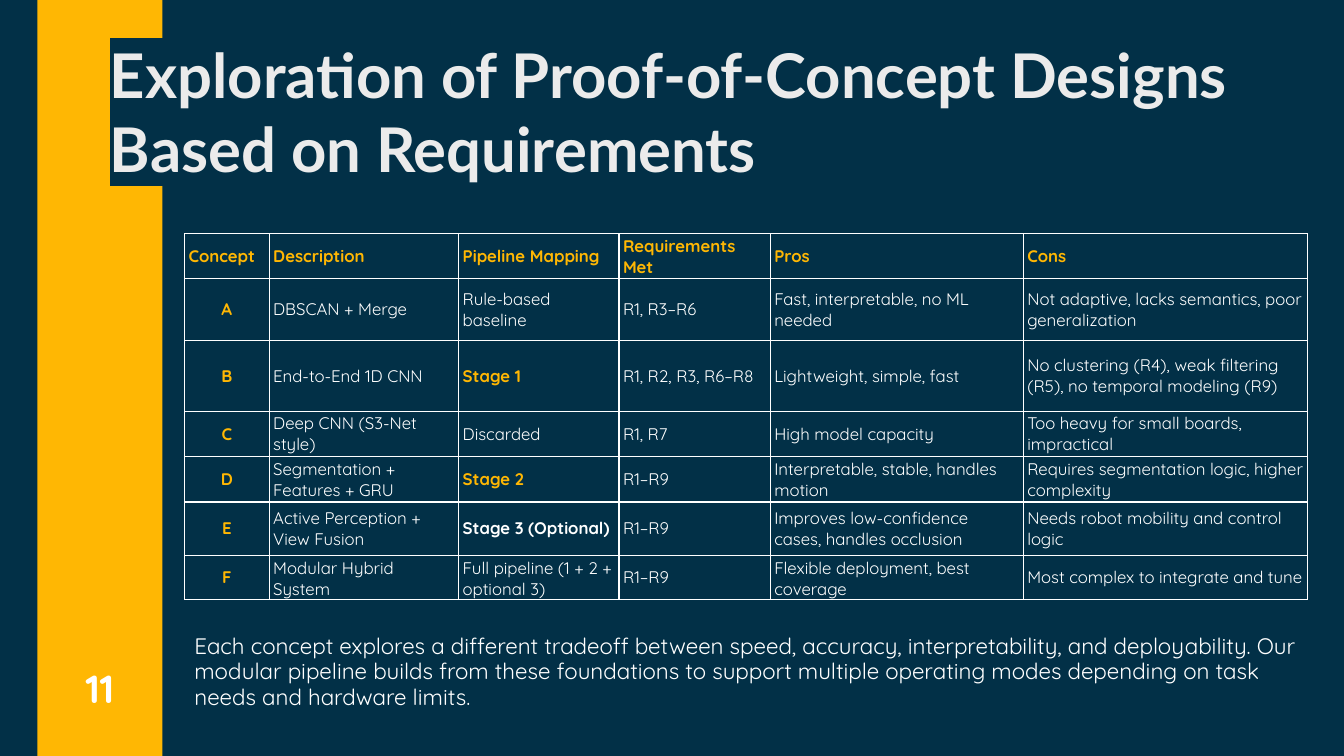
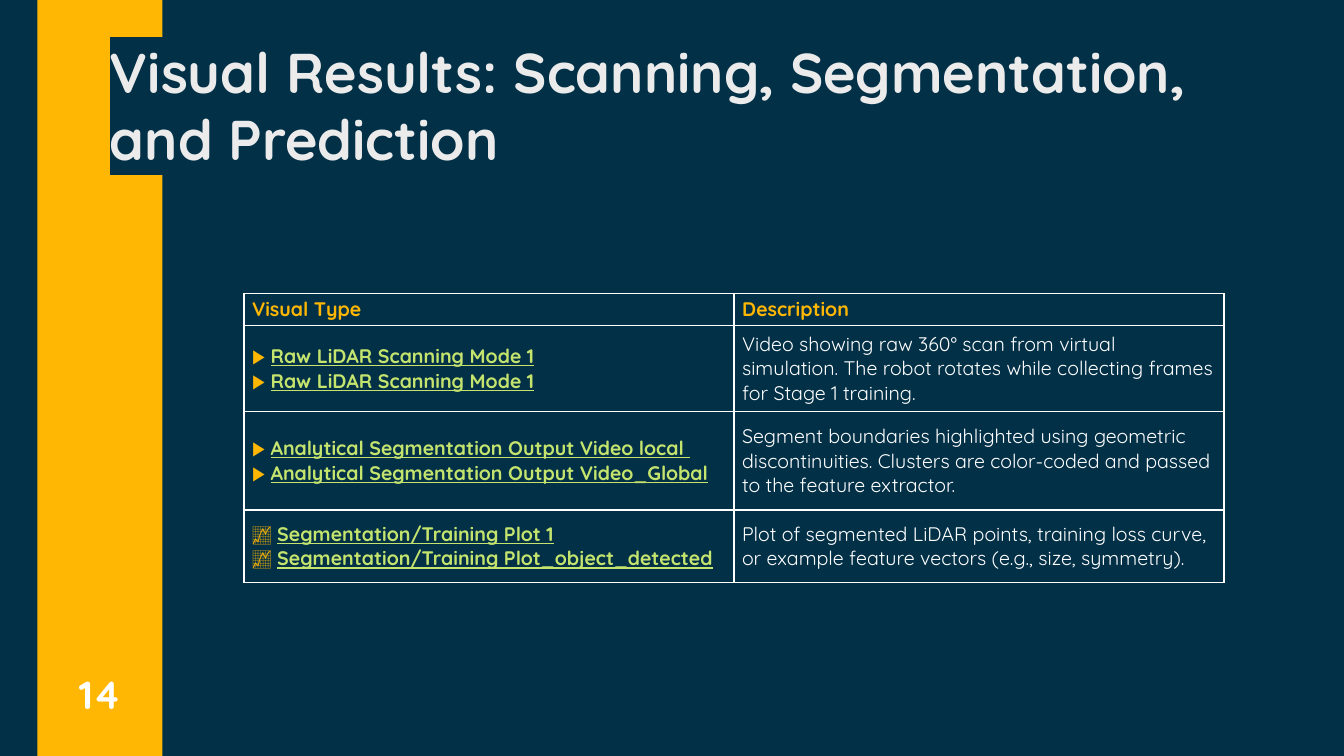
import lxml.etree
import pptx
import pptx.dml.color
import pptx.enum.shapes
import pptx.enum.text
import pptx.oxml.ns
import pptx.util

Inches = pptx.util.Inches
ALIGN = pptx.enum.text.PP_ALIGN
ANCHOR = pptx.enum.text.MSO_ANCHOR

NAVY = "023047"
AMBER = "FFB703"
WHITE = "FFFFFF"
PALE = "EBEBEB"
LIME = "C4E46E"
BODY_FONT = "Quicksand"

CONCEPTS = [
    ("Concept", "Description", "Pipeline Mapping", "Requirements Met", "Pros", "Cons"),
    ("A", "DBSCAN + Merge", "Rule-based baseline", "R1, R3–R6",
     "Fast, interpretable, no ML needed",
     "Not adaptive, lacks semantics, poor generalization"),
    ("B", "End-to-End 1D CNN", "Stage 1", "R1, R2, R3, R6–R8",
     "Lightweight, simple, fast",
     "No clustering (R4), weak filtering (R5), no temporal modeling (R9)"),
    ("C", "Deep CNN (S3-Net style)", "Discarded", "R1, R7",
     "High model capacity", "Too heavy for small boards, impractical"),
    ("D", "Segmentation + Features + GRU", "Stage 2", "R1–R9",
     "Interpretable, stable, handles motion",
     "Requires segmentation logic, higher complexity"),
    ("E", "Active Perception + View Fusion", "Stage 3 (Optional)", "R1–R9",
     "Improves low-confidence cases, handles occlusion",
     "Needs robot mobility and control logic"),
    ("F", "Modular Hybrid System", "Full pipeline (1 + 2 + optional 3)", "R1–R9",
     "Flexible deployment, best coverage", "Most complex to integrate and tune"),
]
STAGE_COLORS = {"Stage 1": AMBER, "Stage 2": AMBER, "Stage 3 (Optional)": WHITE}
CONCEPT_COLUMNS = [0.84, 1.88, 1.59, 1.5, 2.51, 2.82]
CONCEPT_ROWS = [0.44, 0.62, 0.7, 0.45, 0.45, 0.53, 0.44]
SUMMARY = (
    "Each concept explores a different tradeoff between speed, accuracy, "
    "interpretability, and deployability. Our modular pipeline builds from these "
    "foundations to support multiple operating modes depending on task needs and "
    "hardware limits."
)

VISUAL_HEADER = ("Visual Type", "Description")
VISUALS = [
    ("▶ ", ["Raw LiDAR Scanning Mode 1", "Raw LiDAR Scanning Mode 1"],
     "Video showing raw 360° scan from virtual simulation. The robot rotates while "
     "collecting frames for Stage 1 training."),
    ("▶ ", ["Analytical Segmentation Output Video local ",
            "Analytical Segmentation Output Video_Global"],
     "Segment boundaries highlighted using geometric discontinuities. Clusters are "
     "color-coded and passed to the feature extractor."),
    ("📈 ", ["Segmentation/Training Plot 1", "Segmentation/Training Plot_object_detected"],
     "Plot of segmented LiDAR points, training loss curve, or example feature vectors "
     "(e.g., size, symmetry)."),
]
VISUAL_COLUMNS = [4.86, 4.86]
VISUAL_ROWS = [0.32, 0.85, 0.98, 0.72]


def color(value):
    return pptx.dml.color.RGBColor.from_string(value)


def add_xml(parent, tag, **attributes):
    return lxml.etree.SubElement(parent, pptx.oxml.ns.qn(tag), **attributes)


def write(frame, lines, size=12, font=BODY_FONT, ink=WHITE, bold=False, highlight=None,
          align=ALIGN.LEFT, anchor=ANCHOR.TOP, spacing=None):
    frame.word_wrap = True
    frame.vertical_anchor = anchor
    para = frame.paragraphs[0]
    para.alignment = align
    if spacing:
        para.line_spacing = spacing
    if isinstance(lines, str):
        lines = [[(lines, ink, False)]]
    for number, line in enumerate(lines):
        if number:
            para.add_line_break()
        for text, span_ink, underline in line:
            span = para.add_run()
            span.text = text
            span.font.size = pptx.util.Pt(size)
            span.font.name = font
            span.font.bold = bold
            span.font.underline = underline
            span.font.color.rgb = color(span_ink)
            if highlight:
                properties = span.font._element
                mark = add_xml(properties, "a:highlight")
                add_xml(mark, "a:srgbClr", val=highlight)
                properties.find(pptx.oxml.ns.qn("a:solidFill")).addnext(mark)


def place(shape, left, top, width, height):
    shape.left, shape.top = Inches(left), Inches(top)
    shape.width, shape.height = Inches(width), Inches(height)


def add_text(page, left, top, width, height, text, **style):
    box = page.shapes.add_textbox(Inches(left), Inches(top), Inches(width), Inches(height))
    write(box.text_frame, text, **style)


def add_page(deck, title, title_size, title_font, number, number_top):
    page = deck.slides.add_slide(deck.slide_layouts[5])
    band = page.shapes.add_shape(pptx.enum.shapes.MSO_SHAPE.RECTANGLE,
                                 Inches(0.37), 0, Inches(1.24), deck.slide_height)
    band.shadow.inherit = False
    band.fill.solid()
    band.fill.fore_color.rgb = color(AMBER)
    band.line.fill.background()
    heading = page.shapes.title
    heading._element.addprevious(band._element)
    place(heading, 0.99, 0.32, 11.98, 0.73)
    heading.text_frame.auto_size = pptx.enum.text.MSO_AUTO_SIZE.NONE
    write(heading.text_frame, title, size=title_size, font=title_font, ink=PALE,
          bold=True, highlight=NAVY)
    add_text(page, 0.53, number_top, 0.92, 0.84, number, size=28, bold=True,
             align=ALIGN.CENTER, anchor=ANCHOR.BOTTOM)
    return page


def add_grid(page, left, top, columns, rows, cells, size, inset):
    table = page.shapes.add_table(len(rows), len(columns), Inches(left), Inches(top),
                                  Inches(sum(columns)), Inches(sum(rows))).table
    table.first_row = False
    table.horz_banding = False
    for column, width in zip(table.columns, columns):
        column.width = Inches(width)
    for row, height, contents in zip(table.rows, rows, cells):
        row.height = Inches(height)
        for cell, (text, style) in zip(row.cells, contents):
            cell.margin_left = cell.margin_right = Inches(inset)
            cell.margin_top = cell.margin_bottom = Inches(inset / 2)
            cell.vertical_anchor = ANCHOR.MIDDLE
            write(cell.text_frame, text, size=size, anchor=None, **style)
            properties = cell._tc.get_or_add_tcPr()
            for side in "LRTB":
                border = add_xml(properties, "a:ln" + side, w=str(pptx.util.Pt(1)))
                add_xml(add_xml(border, "a:solidFill"), "a:srgbClr", val=WHITE)
            cell.fill.solid()
            cell.fill.fore_color.rgb = color(NAVY)


def concept_style(row, column, text):
    if row == 0:
        return {"ink": AMBER, "bold": True}
    if column == 0:
        return {"ink": AMBER, "bold": True, "align": ALIGN.CENTER}
    if text in STAGE_COLORS:
        return {"ink": STAGE_COLORS[text], "bold": True}
    return {}


def add_concepts(deck):
    page = add_page(deck, "Exploration of Proof-of-Concept Designs Based on Requirements",
                    44, "Lato", "11", 6.27)
    cells = [[(text, concept_style(row, column, text)) for column, text in enumerate(texts)]
             for row, texts in enumerate(CONCEPTS)]
    add_grid(page, 1.83, 2.32, CONCEPT_COLUMNS, CONCEPT_ROWS, cells, 12, 0.04)
    add_text(page, 1.83, 6.24, 11.14, 0.91, SUMMARY, size=16, spacing=0.95)


def add_visuals(deck):
    page = add_page(deck, "Visual Results: Scanning, Segmentation, and Prediction",
                    40, BODY_FONT, "14", 6.33)
    cells = [[(text, {"ink": AMBER, "bold": True}) for text in VISUAL_HEADER]]
    for marker, names, description in VISUALS:
        lines = [[(marker, AMBER, False), (name, LIME, True)] for name in names]
        cells.append([(lines, {"bold": True}), (description, {})])
    add_grid(page, 2.42, 2.91, VISUAL_COLUMNS, VISUAL_ROWS, cells, 14, 0.08)


def main():
    deck = pptx.Presentation()
    deck.slide_width, deck.slide_height = Inches(13.33), Inches(7.5)
    backdrop = deck.slide_master.background.fill
    backdrop.solid()
    backdrop.fore_color.rgb = color(NAVY)
    add_concepts(deck)
    add_visuals(deck)
    deck.save("out.pptx")


if __name__ == "__main__":
    main()
